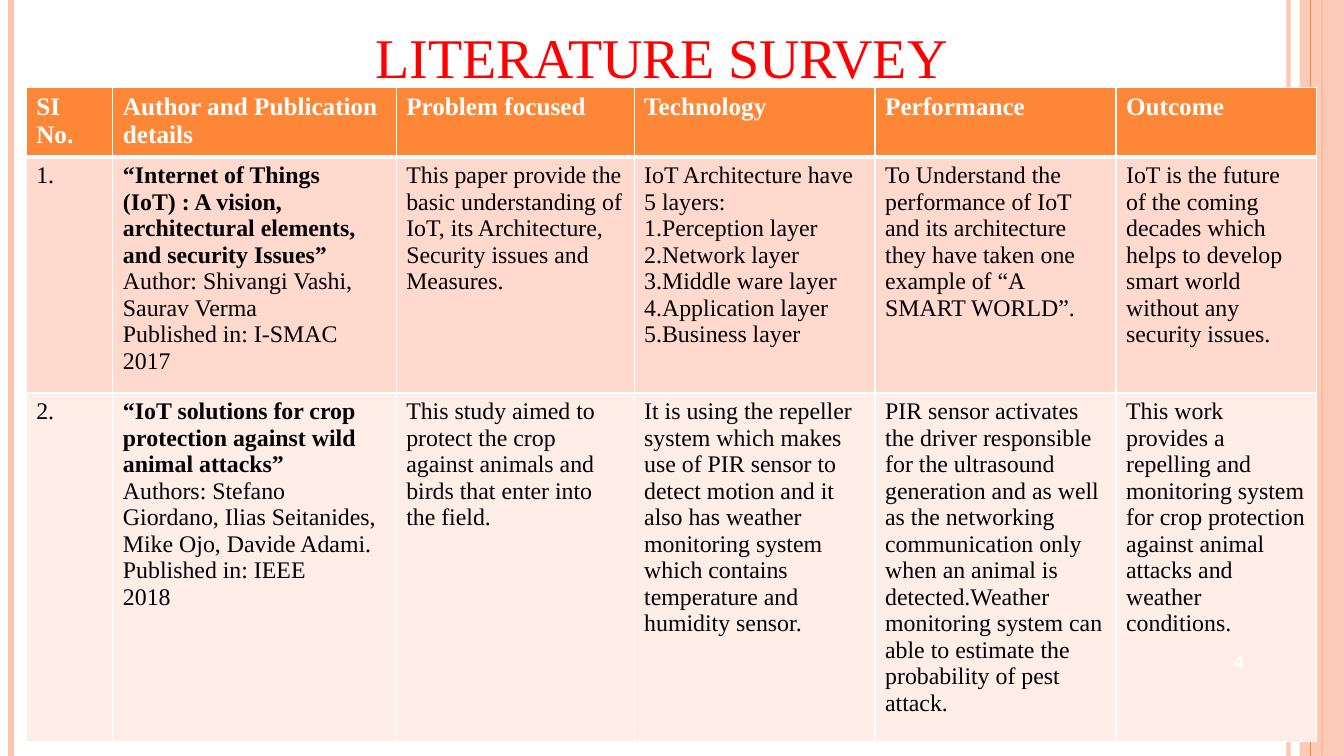
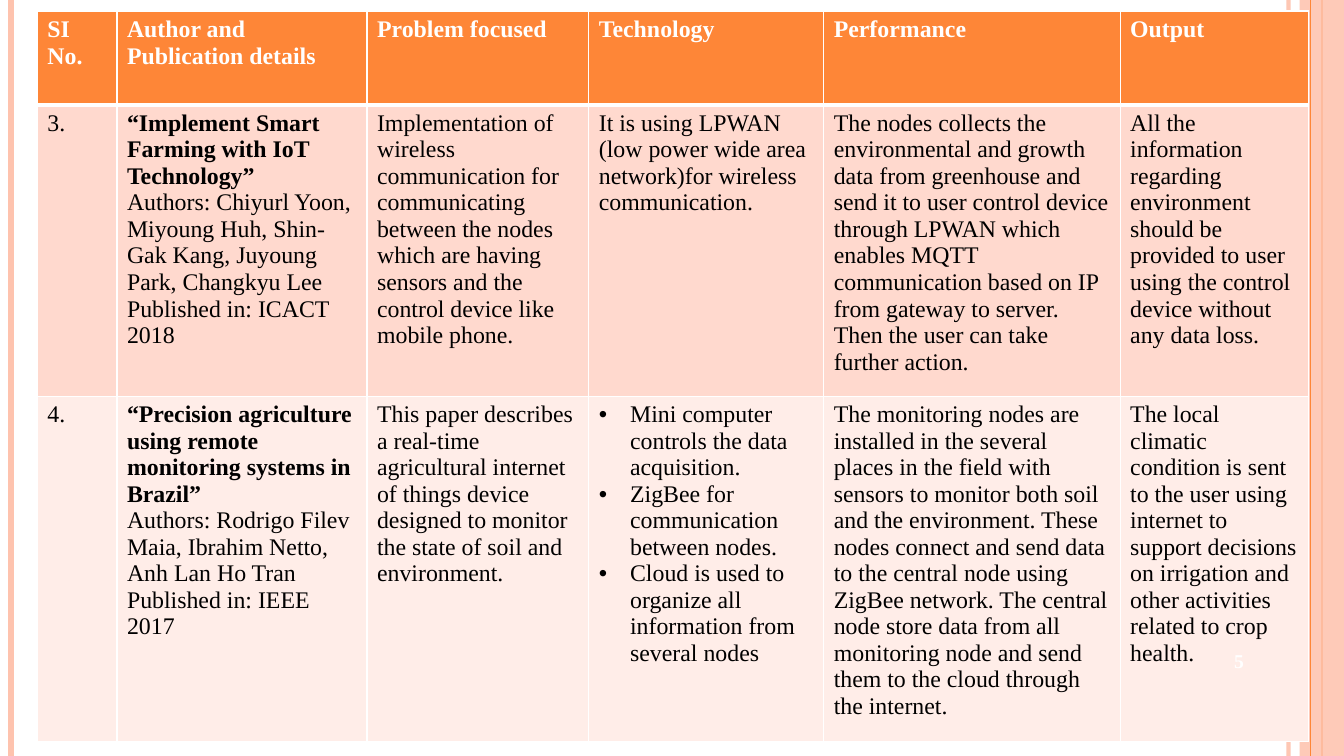
from dataclasses import dataclass

from lxml import etree
from pptx import Presentation
from pptx import util as u
from pptx.dml.color import RGBColor
from pptx.enum import shapes, text
from pptx.oxml import ns

Inches, Pt = u.Inches, u.Pt


@dataclass(frozen=True)
class Theme:
    font: str = "Times New Roman"
    accent: str = "FE8637"
    band: str = "FEC3AE"
    row_fills: tuple = ("FFD9CE", "FFEDE8")
    title: str = "FF0000"
    body: str = "000000"
    light: str = "FFFFFF"
    title_size: int = 40
    body_size: int = 17
    number_size: int = 14


def color(value):
    return RGBColor.from_string(value)


def add_xml(parent, tag, **attributes):
    return etree.SubElement(parent, ns.qn(tag), attributes)


class Deck:
    """Holds the style and the current slide."""

    WIDTH, HEIGHT = 13.33, 7.5
    BADGE = (11.89, 6.25, 0.8, 0.6)

    def __init__(self, theme):
        self.theme = theme
        self.slide = None
        self.prs = Presentation()
        self.prs.slide_width = Inches(self.WIDTH)
        self.prs.slide_height = Inches(self.HEIGHT)

    def new_slide(self, title=None):
        layout = self.prs.slide_layouts[5 if title else 6]
        self.slide = self.prs.slides.add_slide(layout)
        self.side_bands()
        if title:
            self.title(title)

    # Shared decoration
    def side_bands(self):
        t = self.theme
        self.stripe(12.78, 3, t.band, 93)
        self.stripe(0.11, 4.5, t.band)
        self.stripe(13.11, 1.5, t.accent)
        self.block(shapes.MSO_SHAPE.RECTANGLE, (12.89, 0, 0.44, self.HEIGHT), t.band, 87)
        self.stripe(13, 0.75, t.accent)
        self.block(shapes.MSO_SHAPE.OVAL, self.BADGE, t.accent)

    def stripe(self, x, width, value, opacity=100):
        line = self.slide.shapes.add_connector(
            shapes.MSO_CONNECTOR.STRAIGHT, Inches(x), 0, Inches(x), Inches(self.HEIGHT))
        line.line.width = Pt(width)
        self.paint(line.line.fill, value, opacity)
        add_xml(line.element.spPr, "a:effectLst")

    def block(self, kind, box, value, opacity=100):
        shape = self.slide.shapes.add_shape(kind, *map(Inches, box))
        shape.shadow.inherit = False
        shape.line.fill.background()
        self.paint(shape.fill, value, opacity)

    def paint(self, fill, value, opacity=100):
        fill.solid()
        fill.fore_color.rgb = color(value)
        if opacity < 100:
            for tint in fill._xPr.iter(ns.qn("a:srgbClr")):
                add_xml(tint, "a:alpha", val=str(opacity * 1000))

    # Text
    def add_run(self, paragraph, words, size, value, bold=False):
        run = paragraph.add_run()
        run.text = words
        font = run.font
        font.name, font.size, font.bold = self.theme.font, Pt(size), bold
        font.color.rgb = color(value)

    def title(self, words):
        heading = self.slide.shapes.title
        heading.left, heading.top = Inches(0.5), Inches(0.17)
        heading.width, heading.height = Inches(9), Inches(0.92)
        frame = heading.text_frame
        frame.auto_size = text.MSO_AUTO_SIZE.NONE
        frame.vertical_anchor = text.MSO_ANCHOR.TOP
        frame.paragraphs[0].alignment = text.PP_ALIGN.RIGHT
        self.add_run(frame.paragraphs[0], words, self.theme.title_size, self.theme.title)

    def page_number(self, number):
        frame = self.slide.shapes.add_textbox(*map(Inches, self.BADGE)).text_frame
        frame.word_wrap = True
        frame.vertical_anchor = text.MSO_ANCHOR.MIDDLE
        frame.paragraphs[0].alignment = text.PP_ALIGN.CENTER
        self.add_run(frame.paragraphs[0], str(number), self.theme.number_size,
                     self.theme.light, True)

    # Survey table
    def survey(self, left, top, widths, heights, rows, header_size):
        t = self.theme
        table = self.slide.shapes.add_table(
            len(rows), len(widths), Inches(left), Inches(top),
            Inches(sum(widths)), Inches(sum(heights))).table
        for column, width in zip(table.columns, widths):
            column.width = Inches(width)
        for r, (height, entries) in enumerate(zip(heights, rows)):
            table.rows[r].height = Inches(height)
            header = r == 0
            fill = t.accent if header else t.row_fills[(r - 1) % 2]
            size = header_size if header else t.body_size
            for c, entry in enumerate(entries):
                cell = table.cell(r, c)
                self.borders(cell, top=3 if r == 1 else 1, bottom=3 if header else 1)
                self.paint(cell.fill, fill)
                self.fill_cell(cell, entry, size, t.light if header else t.body,
                               header, cites=c == 1)

    def fill_cell(self, cell, entry, size, value, header, cites):
        """A tuple becomes a bulleted list; a citation opens with a bold line."""
        bulleted = isinstance(entry, tuple)
        lines = entry if bulleted else entry.split("\n")
        frame = cell.text_frame
        for i, words in enumerate(lines):
            paragraph = frame.add_paragraph() if i else frame.paragraphs[0]
            if bulleted:
                self.bullet(paragraph)
            self.add_run(paragraph, words, size, value, header or (cites and i == 0))

    def bullet(self, paragraph):
        props = paragraph._p.get_or_add_pPr()
        props.set("marL", str(Inches(0.31)))
        props.set("indent", str(-Inches(0.31)))
        add_xml(props, "a:buFont", typeface="Arial")
        add_xml(props, "a:buChar", char="•")

    def borders(self, cell, top, bottom):
        props = cell._tc.get_or_add_tcPr()
        for side, width in (("L", 1), ("R", 1), ("T", top), ("B", bottom)):
            edge = add_xml(props, f"a:ln{side}", w=str(Pt(width)))
            add_xml(add_xml(edge, "a:solidFill"), "a:srgbClr", val=self.theme.light)


# Content
HEADINGS = ["SI No.", "Author and Publication details", "Problem focused",
            "Technology", "Performance"]

BASICS_AND_CROPS = [
    HEADINGS + ["Outcome"],
    ["1.",
     "“Internet of Things (IoT) : A vision, architectural elements, and security Issues”\n"
     "Author: Shivangi Vashi, Saurav Verma\nPublished in: I-SMAC\n2017",
     "This paper provide the basic understanding of IoT, its Architecture, "
     "Security issues and Measures.",
     "IoT Architecture have 5 layers:\n1.Perception layer\n2.Network layer\n"
     "3.Middle ware layer\n4.Application layer\n5.Business layer",
     "To Understand the performance of IoT and its architecture they have taken "
     "one example of “A SMART WORLD”.",
     "IoT is the future\nof the coming decades which helps to develop smart world "
     "without any security issues."],
    ["2.",
     "“IoT solutions for crop protection against wild animal attacks”\n"
     "Authors: Stefano Giordano, Ilias Seitanides, Mike Ojo, Davide Adami.\n"
     "Published in: IEEE\n2018",
     "This study aimed to protect the crop against animals and birds that enter "
     "into the field.",
     "It is using the repeller system which makes use of PIR sensor to detect motion "
     "and it also has weather monitoring system which contains temperature and "
     "humidity sensor.",
     "PIR sensor activates the driver responsible for the ultrasound generation and "
     "as well as the networking communication only when an animal is "
     "detected.Weather monitoring system can able to estimate the probability of "
     "pest attack.",
     "This work provides a repelling and monitoring system for crop protection "
     "against animal attacks and weather conditions."],
]

FARMING = [
    HEADINGS + ["Output"],
    ["3.",
     "“Implement Smart Farming with IoT Technology”\n"
     "Authors: Chiyurl Yoon, Miyoung Huh, Shin-Gak Kang, Juyoung Park, Changkyu Lee\n"
     "Published in: ICACT\n2018",
     "Implementation of wireless communication for communicating between the nodes "
     "which are having sensors and the control device like mobile phone.",
     "It is using LPWAN (low power wide area network)for wireless communication.",
     "The nodes collects the environmental and growth data from greenhouse and send "
     "it to user control device through LPWAN which enables MQTT communication based "
     "on IP from gateway to server. Then the user can take further action.",
     "All the information regarding environment should be provided to user using the "
     "control device without any data loss."],
    ["4.",
     "“Precision agriculture using remote monitoring systems in Brazil”\n"
     "Authors: Rodrigo Filev Maia, Ibrahim Netto, Anh Lan Ho Tran\n"
     "Published in: IEEE\n2017",
     "This paper describes a real-time agricultural internet of things device "
     "designed to monitor the state of soil and environment.",
     ("Mini computer controls the data acquisition.",
      "ZigBee for communication between nodes.",
      "Cloud is used to organize all information from several nodes"),
     "The monitoring nodes are installed in the several places in the field with "
     "sensors to monitor both soil and the environment. These nodes connect and send "
     "data to the central node using ZigBee network. The central node store data from "
     "all monitoring node and send them to the cloud through the internet.",
     "The local climatic condition is sent to the user using internet to support "
     "decisions on irrigation and other activities related to crop health."],
]


def main():
    deck = Deck(Theme())

    # Papers 1 and 2
    deck.new_slide("LITERATURE SURVEY")
    deck.survey(0.26, 0.87, [0.86, 2.81, 2.36, 2.39, 2.39, 1.99],
                [0.69, 2.34, 3.46], BASICS_AND_CROPS, header_size=18)
    deck.page_number(4)

    # Papers 3 and 4
    deck.new_slide()
    deck.survey(0.37, 0.11, [0.79, 2.48, 2.2, 2.33, 2.94, 1.87],
                [0.93, 2.89, 3.43], FARMING, header_size=17)
    deck.page_number(5)

    deck.prs.save("out.pptx")


if __name__ == "__main__":
    main()
